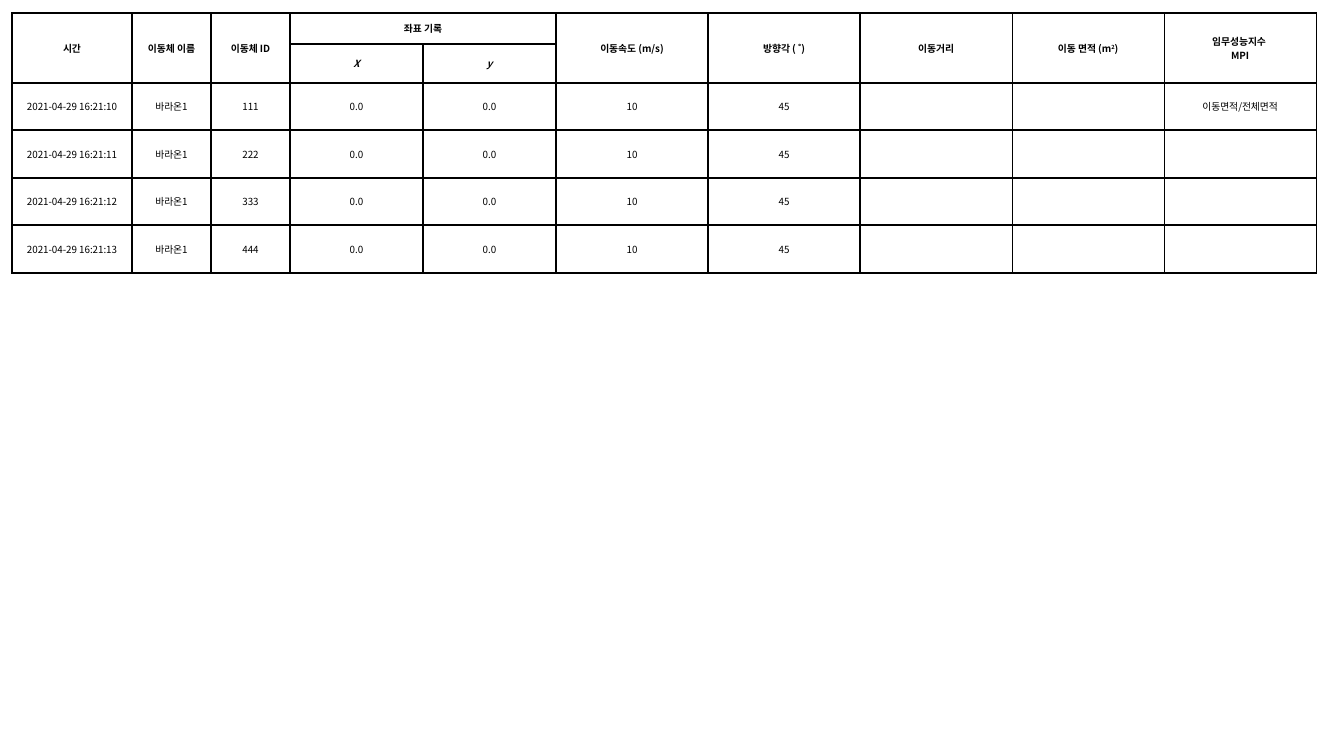
from lxml import etree
from pptx import Presentation
from pptx import util as u
from pptx.dml.color import RGBColor
from pptx.enum import text
from pptx.oxml.ns import qn

# Content: each cell is a list of lines, each line a list of (text, style) runs
FONT, INK, PAPER = "Noto Sans CJK KR", "000000", "FFFFFF"
HEADERS = [
    [[("시간", "")]],
    [[("이동체 이름", "")]],
    [[("이동체 ID", "")]],
    [[("좌표 기록", "")]],
    None,
    [[("이동속도 (m/s)", "")]],
    [[("방향각 ( ˚)", "")]],
    [[("이동거리", "")]],
    [[("이동 면적 (m", ""), ("2", "super"), (")", "")]],
    [[("임무성능지수 ", "")], [("MPI", "")]],
]
AXES = {3: "X", 4: "y"}
RECORDS = [
    ("2021-04-29 16:21:10", "바라온1", "111", "0.0", "0.0", "10", "45", "", "", "이동면적/전체면적"),
    ("2021-04-29 16:21:11", "바라온1", "222", "0.0", "0.0", "10", "45", "", "", ""),
    ("2021-04-29 16:21:12", "바라온1", "333", "0.0", "0.0", "10", "45", "", "", ""),
    ("2021-04-29 16:21:13", "바라온1", "444", "0.0", "0.0", "10", "45", "", "", ""),
]

# Layout in px
PX = u.Inches(1) / 100.8
LEFT, TOP = 12, 13
COLUMNS = [120, 79, 79] + [133] * 2 + [152] * 5
ROWS = [31, 39] + [47, 48] * 2


def emu(px):
    return u.Emu(round(px * PX))


def colour(value):
    return RGBColor.from_string(value)


def write(cell, lines, bold=False):
    for index, line in enumerate(lines):
        frame = cell.text_frame
        para = frame.paragraphs[0] if index == 0 else frame.add_paragraph()
        para.alignment = text.PP_ALIGN.CENTER
        for words, style in line:
            span = para.add_run()
            span.text = words
            font = span.font
            font.size, font.name, font.bold = u.Pt(7), FONT, bold
            font.italic = style == "italic"
            font.color.rgb = colour(INK)
            props = span._r.get_or_add_rPr()
            etree.SubElement(props, qn("a:ea"), typeface=FONT)
            if style == "super":
                props.set("baseline", "30000")


def dress(cell):
    props = cell._tc.get_or_add_tcPr()
    for side in ("lnL", "lnR", "lnT", "lnB"):
        line = etree.SubElement(props, qn("a:" + side), w=str(u.Pt(1)))
        fill = etree.SubElement(line, qn("a:solidFill"))
        etree.SubElement(fill, qn("a:srgbClr"), val=INK)
    cell.fill.solid()
    cell.fill.fore_color.rgb = colour(PAPER)
    cell.vertical_anchor = text.MSO_ANCHOR.MIDDLE


def main():
    deck = Presentation()
    deck.slide_width, deck.slide_height = u.Inches(13.33), u.Inches(7.5)
    page = deck.slides.add_slide(deck.slide_layouts[6])

    # Table grid
    table = page.shapes.add_table(
        len(ROWS), len(COLUMNS), emu(LEFT), emu(TOP), emu(sum(COLUMNS)), emu(sum(ROWS))
    ).table
    table.first_row = table.horz_banding = False
    for column, width in zip(table.columns, COLUMNS):
        column.width = emu(width)
    for row, height in zip(table.rows, ROWS):
        row.height = emu(height)
    for cell in table.iter_cells():
        dress(cell)

    # Two-level header
    table.cell(0, 3).merge(table.cell(0, 4))
    for col, lines in enumerate(HEADERS):
        if col in AXES:
            write(table.cell(1, col), [[(AXES[col], "italic")]], bold=True)
        else:
            table.cell(0, col).merge(table.cell(1, col))
        if lines:
            write(table.cell(0, col), lines, bold=True)

    # Records
    for row, record in enumerate(RECORDS, start=2):
        for col, value in enumerate(record):
            if value:
                write(table.cell(row, col), [[(value, "")]])

    deck.save("out.pptx")


if __name__ == "__main__":
    main()
